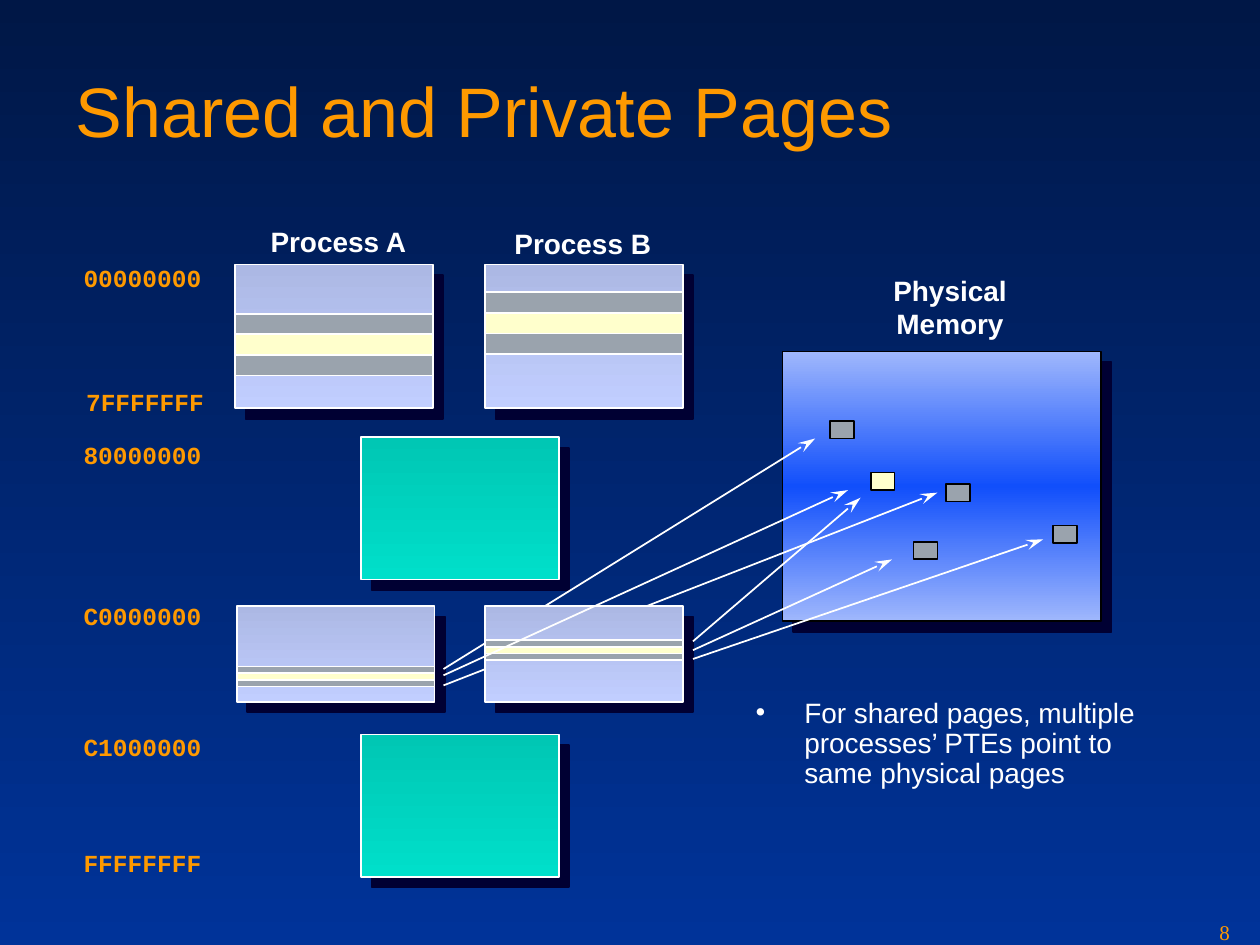
from copy import deepcopy
from dataclasses import dataclass

from lxml.etree import SubElement
from pptx import Presentation
from pptx.dml.color import RGBColor
from pptx.enum.shapes import MSO_CONNECTOR, MSO_SHAPE
from pptx.enum.text import MSO_ANCHOR, MSO_AUTO_SIZE, PP_ALIGN
from pptx.oxml.ns import qn
from pptx.util import Inches, Pt


@dataclass(frozen=True)
class Theme:
    background: tuple = ("001746", "003399")
    user: tuple = ("ACB8E4", "C1CEFF")
    kernel: tuple = ("00C7B4", "00DFCA")
    memory: tuple = ("9FB7FC", "114FFB", "9FB7FC")
    private: str = "9AA3AD"
    shared: str = "FFFFCC"
    accent: str = "FE9900"
    white: str = "FFFFFF"
    black: str = "000000"
    shadow: str = "000033"
    sans: str = "Arial"
    mono: str = "Courier New"
    serif: str = "Times New Roman"
    title_size: int = 40
    text_size: int = 16
    address_size: int = 14
    number_size: int = 12


T = Theme()
WIDTH, HEIGHT = Inches(10), Inches(7.5)
COLS, ROWS = 100, 75
COL_A, COL_KERNEL, COL_B = 18.65, 28.65, 38.5
PAGE_W, KERNEL_H, USER_H, TABLE_H = 15.7, 11.3, 11.4, 7.6
USER_Y, TABLE_Y = 21, 48.1


def grid(*cells):
    units = (WIDTH / COLS, HEIGHT / ROWS)
    return [round(c * units[i % 2]) for i, c in enumerate(cells)]


def rgb(color):
    return RGBColor.from_string(color)


def fill_gradient(fill, colors):
    fill.gradient()
    fill.gradient_angle = 270
    first = fill.gradient_stops[0]._gs
    for _ in colors[2:]:
        first.addnext(deepcopy(first))
    for i, (stop, color) in enumerate(zip(fill.gradient_stops, colors)):
        stop.position = i / (len(colors) - 1)
        stop.color.rgb = rgb(color)


def add_shadow(shape):
    effects = shape._element.spPr.find(qn("a:effectLst"))
    shadow = SubElement(effects, qn("a:outerShdw"), dist=str(Pt(8.5)),
                        dir="2700000", algn="ctr", rotWithShape="0")
    SubElement(shadow, qn("a:srgbClr"), val=T.shadow)


def add_rect(s, box, fill, line=T.white):
    sp = s.shapes.add_shape(MSO_SHAPE.RECTANGLE, *grid(*box))
    sp.shadow.inherit = False
    sp.line.color.rgb = rgb(line)
    sp.line.width = Pt(1)
    if isinstance(fill, tuple):
        fill_gradient(sp.fill, fill)
        add_shadow(sp)
    else:
        sp.fill.solid()
        sp.fill.fore_color.rgb = rgb(fill)


def add_address_space(s, x, y, h, band_y, band_h):
    add_rect(s, (x, y, PAGE_W, h), T.user)
    add_rect(s, (x, band_y, PAGE_W, band_h), T.private)
    add_rect(s, (x, band_y + band_h / 3, PAGE_W, band_h / 3), T.shared)


def add_arrow(s, start, end):
    ln = s.shapes.add_connector(MSO_CONNECTOR.STRAIGHT, *grid(*start, *end))
    ln.line.color.rgb = rgb(T.white)
    ln.line.width = Pt(1)
    SubElement(ln.line._get_or_add_ln(), qn("a:tailEnd"),
               type="stealth", w="med", len="lg")
    SubElement(ln._element.spPr, qn("a:effectLst"))


def format_text(tf, font, size, color, bold=False, align=PP_ALIGN.LEFT):
    for p in tf.paragraphs:
        p.alignment = align
        for r in p.runs:
            r.font.name, r.font.size, r.font.bold = font, Pt(size), bold
            r.font.color.rgb = rgb(color)


def add_text(s, box, text, font, size, color, wrap=False, **style):
    tf = s.shapes.add_textbox(*grid(*box)).text_frame
    tf.word_wrap = wrap
    tf.auto_size = MSO_AUTO_SIZE.NONE if wrap else MSO_AUTO_SIZE.SHAPE_TO_FIT_TEXT
    tf.text = text
    format_text(tf, font, size, color, **style)
    return tf


def add_label(s, box, text):
    add_text(s, box, text, T.sans, T.text_size, T.white,
             bold=True, align=PP_ALIGN.CENTER)


def add_address(s, x, y, text):
    tf = add_text(s, (x, y, 11.3, 3.2), text, T.mono, T.address_size, T.accent,
                  bold=True, align=PP_ALIGN.RIGHT)
    tf.margin_left = tf.margin_right = Inches(0.09)
    tf.margin_top = tf.margin_bottom = Inches(0.04)


def add_bullet(s, box, text):
    tf = add_text(s, box, text, T.sans, T.text_size, T.white, wrap=True)
    p = tf.paragraphs[0]
    p.line_spacing = 0.9
    p.space_after = Pt(4)
    pPr = p._p.get_or_add_pPr()
    pPr.set("marL", str(Inches(0.39)))
    pPr.set("indent", str(-Inches(0.39)))
    SubElement(SubElement(pPr, qn("a:buClr")), qn("a:srgbClr"), val=T.white)
    SubElement(pPr, qn("a:buSzPct"), val="110000")
    SubElement(pPr, qn("a:buFont"), typeface=T.serif)
    SubElement(pPr, qn("a:buChar"), char="•")


def add_title(s, text):
    title = s.shapes.title
    title.left, title.top, title.width, title.height = grid(5, 2.4, 90, 12.5)
    title.text_frame.text = text
    title.text_frame.vertical_anchor = MSO_ANCHOR.MIDDLE
    format_text(title.text_frame, T.sans, T.title_size, T.accent)


def main():
    prs = Presentation()
    prs.slide_width, prs.slide_height = WIDTH, HEIGHT
    s = prs.slides.add_slide(prs.slide_layouts[5])
    fill_gradient(s.background.fill, T.background)
    add_title(s, "Shared and Private Pages")

    for y in (34.7, 58.3):
        add_rect(s, (COL_KERNEL, y, PAGE_W, KERNEL_H), T.kernel)
    add_rect(s, (62.1, 27.9, 25.3, 21.4), T.memory, T.black)
    for x, y, color in ((65.9, 33.4, T.private), (72.5, 43, T.private),
                        (83.6, 41.7, T.private), (69.1, 37.5, T.shared),
                        (75.1, 38.4, T.private)):
        add_rect(s, (x, y, 1.9, 1.4), color, T.black)

    add_address_space(s, COL_A, USER_Y, USER_H, 24.9, 4.9)
    add_address_space(s, COL_B, USER_Y, USER_H, 23.2, 4.9)
    add_address_space(s, COL_A + 0.15, TABLE_Y, TABLE_H, 52.9, 1.6)
    for start, end in (((35.2, 53.1), (64.7, 34.8)),
                       ((35.2, 54.4), (74.4, 39.1))):
        add_arrow(s, start, end)
    add_address_space(s, COL_B, TABLE_Y, TABLE_H, 50.8, 1.6)
    for start, end in (((35.2, 53.6), (67.3, 38.9)),
                       ((55, 50.9), (68.3, 39.5)),
                       ((55, 51.6), (70.8, 44.4)),
                       ((55, 52.3), (82.8, 42.8))):
        add_arrow(s, start, end)

    for x, y, text in ((5.6, 20.5, "00000000"), (5.8, 30.3, "7FFFFFFF"),
                       (5.6, 34.5, "80000000"), (5.6, 47.3, "C0000000"),
                       (5.6, 57.7, "C1000000"), (5.6, 66.9, "FFFFFFFF")):
        add_address(s, x, y, text)
    add_label(s, (20.4, 17.3, 12.9, 3.7), "Process A")
    add_label(s, (39.8, 17.5, 12.9, 3.7), "Process B")
    add_label(s, (69.9, 21.2, 11, 6.3), "Physical\nMemory")
    add_bullet(s, (58.95, 55, 33.3, 11.3),
               "For shared pages, multiple processes’ PTEs point to same physical pages")
    add_text(s, (95.8, 72.5, 4.2, 2.5), "8", T.serif, T.number_size, T.accent, wrap=True)
    prs.save("out.pptx")


if __name__ == "__main__":
    main()
